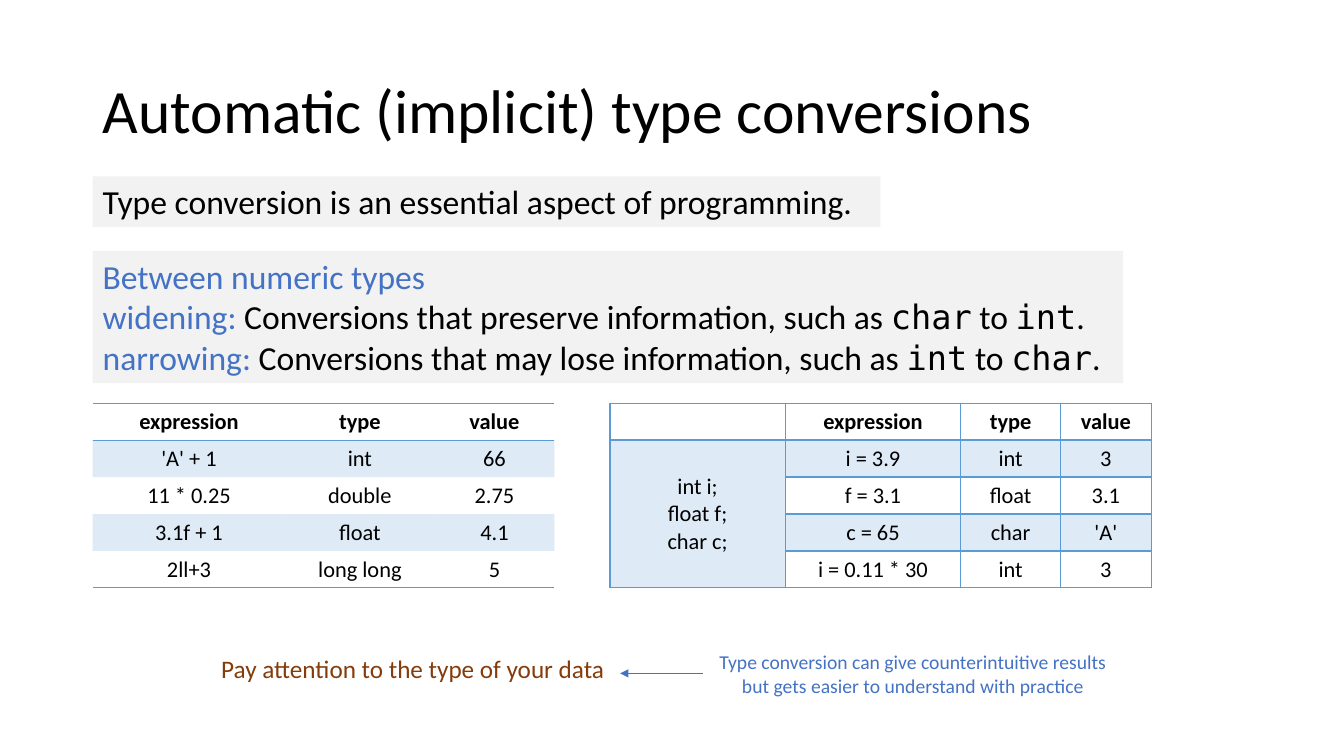
from lxml import etree
from pptx import Presentation
from pptx.dml.color import RGBColor
from pptx.enum.shapes import MSO_CONNECTOR, MSO_SHAPE
from pptx.enum.text import MSO_ANCHOR, PP_ALIGN
from pptx.oxml.ns import qn
from pptx.util import Inches, Pt

LEFT, CENTER = PP_ALIGN.LEFT, PP_ALIGN.CENTER
TOP, MIDDLE = MSO_ANCHOR.TOP, MSO_ANCHOR.MIDDLE
RECTANGLE, STRAIGHT = MSO_SHAPE.RECTANGLE, MSO_CONNECTOR.STRAIGHT

BLACK = RGBColor(0x00, 0x00, 0x00)
BLUE = RGBColor(0x44, 0x72, 0xC4)
TABLE_BLUE = RGBColor(0x5B, 0x9B, 0xD5)
BROWN = RGBColor(0x84, 0x3C, 0x0B)
GRAY = RGBColor(0xE7, 0xE6, 0xE6)

FONT, CODE_FONT = "Calibri", "DejaVu Sans Mono"
NO_STYLE = "{2D5ABB26-0587-4C30-8999-92F81FD0307C}"
MARGIN = 6.9  # left edge of the content, percent of the width
TABLE_TOP, ROW_HEIGHT = 53.33, 4.89


def fill_translucent(fill, color, percent):
    fill.solid()
    fill.fore_color.rgb = color
    rgb_element = fill._xPr.find(".//" + qn("a:srgbClr"))
    etree.SubElement(rgb_element, qn("a:alpha"), val=str(percent * 1000))


def set_borders(cell, widths):
    """Draw the given sides; widths maps L, R, T, B to points, 0 for none."""
    properties = cell._tc.get_or_add_tcPr()
    for index, side in enumerate("LRTB"):
        width = widths.get(side, 0)
        line = etree.Element(qn("a:ln" + side), w=str(Pt(width)))
        if width:
            solid = etree.SubElement(line, qn("a:solidFill"))
            etree.SubElement(solid, qn("a:srgbClr"), val=str(TABLE_BLUE))
        else:
            etree.SubElement(line, qn("a:noFill"))
        properties.insert(index, line)


def ruled_borders(row, last_row):
    return {"T": int(row <= 1), "B": int(row in (0, last_row))}


def grid_borders(row, last_row):
    return {"L": 1, "R": 1, "T": 2 if row == 1 else 1, "B": 2 if row == 0 else 1}


class SlideBuilder:
    """Adds elements to one slide; lengths are percent of the slide's size."""

    def __init__(self, presentation):
        self.width = presentation.slide_width
        self.height = presentation.slide_height
        self.slide = presentation.slides.add_slide(presentation.slide_layouts[5])
        self.shapes = self.slide.shapes

    def x(self, share):
        return round(self.width * share / 100)

    def y(self, share):
        return round(self.height * share / 100)

    def box(self, left, top, width, height):
        return self.x(left), self.y(top), self.x(width), self.y(height)

    def set_text(self, frame, lines, size, color=BLACK, align=LEFT, bold=False):
        """Fill a frame; a line is a text or a list of (text, color, font) runs."""
        frame.word_wrap = True
        for index, line in enumerate(lines):
            paragraph = frame.add_paragraph() if index else frame.paragraphs[0]
            paragraph.alignment = align
            paragraph.font.size = Pt(size)
            paragraph.font.bold = bold
            if isinstance(line, str):
                paragraph.font.name = FONT
                paragraph.font.color.rgb = color
                paragraph.text = line
                continue
            for text, run_color, font_name in line:
                run = paragraph.add_run()
                run.text = text
                run.font.name = font_name
                run.font.color.rgb = run_color

    def title(self, text, box):
        title = self.shapes.title
        title.left, title.top, title.width, title.height = self.box(*box)
        title.text_frame.vertical_anchor = MIDDLE
        self.set_text(title.text_frame, [text], 44)
        title.text_frame.paragraphs[0].line_spacing = 0.9

    def panel(self, lines, box):
        panel = self.shapes.add_shape(RECTANGLE, *self.box(*box))
        panel.shadow.inherit = False
        panel.line.fill.background()
        fill_translucent(panel.fill, GRAY, 50)
        panel.text_frame.vertical_anchor = TOP
        self.set_text(panel.text_frame, lines, 24)

    def note(self, lines, box, size, color, align=LEFT):
        note = self.shapes.add_textbox(*self.box(*box))
        self.set_text(note.text_frame, lines, size, color, align)

    def arrow(self, start, end, level):
        y = self.y(level)
        arrow = self.shapes.add_connector(STRAIGHT, self.x(start), y, self.x(end), y)
        arrow.line.color.rgb = BLUE
        arrow.line.width = Pt(0.5)
        etree.SubElement(arrow.get_or_add_ln(), qn("a:tailEnd"), type="triangle")
        etree.SubElement(arrow._element.spPr, qn("a:effectLst"))

    def table(self, left, columns, rows, borders):
        """Add a table; borders gives the border widths for a row."""
        frame = self.shapes.add_table(
            len(rows), len(columns),
            *self.box(left, TABLE_TOP, sum(columns), ROW_HEIGHT * len(rows)))
        table = frame.table
        table.first_row = table.horz_banding = False
        table._tbl.tblPr.find(qn("a:tableStyleId")).text = NO_STYLE
        for column, width in zip(table.columns, columns):
            column.width = self.x(width)
        for row_index, row in enumerate(rows):
            table.rows[row_index].height = self.y(ROW_HEIGHT)
            for column_index, text in enumerate(row):
                cell = table.cell(row_index, column_index)
                cell.margin_top = cell.margin_bottom = 0
                cell.vertical_anchor = MIDDLE
                self.set_text(cell.text_frame, text.split("\n"), 16,
                              align=CENTER, bold=row_index == 0)
                if row_index % 2:
                    fill_translucent(cell.fill, TABLE_BLUE, 20)
                else:
                    cell.fill.background()
                set_borders(cell, borders(row_index, len(rows) - 1))
        return table


def conversion_line(kind, effect, source, target):
    return [(kind + ": ", BLUE, FONT),
            (f"Conversions that {effect} information, such as ", BLACK, FONT),
            (source, BLACK, CODE_FONT), (" to ", BLACK, FONT),
            (target, BLACK, CODE_FONT), (".", BLACK, FONT)]


def main():
    presentation = Presentation()
    presentation.slide_width = Inches(13.33)
    presentation.slide_height = Inches(7.5)
    builder = SlideBuilder(presentation)

    builder.title("Automatic (implicit) type conversions", (MARGIN, 5.33, 86.27, 19.33))
    builder.panel(["Type conversion is an essential aspect of programming."],
                  (MARGIN, 23.33, 58.6, 6.67))
    builder.panel([[("Between numeric types", BLUE, FONT)],
                   conversion_line("widening", "preserve", "char", "int"),
                   conversion_line("narrowing", "may lose", "int", "char")],
                  (MARGIN, 33.2, 76.67, 17.47))

    header = ["expression", "type", "value"]
    builder.table(MARGIN, [14.33, 11.1, 8.93], [
        header,
        ["'A' + 1", "int", "66"],
        ["11 * 0.25", "double", "2.75"],
        ["3.1f + 1", "float", "4.1"],
        ["2ll+3", "long long", "5"],
    ], ruled_borders)

    assignments = builder.table(45.38, [13.05, 13.05, 7.43, 6.75], [
        ["", *header],
        ["int i;\nfloat f;\nchar c;", "i = 3.9", "int", "3"],
        ["", "f = 3.1", "float", "3.1"],
        ["", "c = 65", "char", "'A'"],
        ["", "i = 0.11 * 30", "int", "3"],
    ], grid_borders)
    assignments.cell(1, 0).merge(assignments.cell(4, 0))

    builder.note(["Pay attention to the type of your data"],
                 (15.72, 85.73, 32.06, 5.33), 18, BROWN)
    builder.note(["Type conversion can give counterintuitive results",
                  "but gets easier to understand with practice"],
                 (52.29, 85.33, 31.28, 7.6), 14, BLUE, CENTER)
    builder.arrow(52.29, 46.14, 89.07)

    presentation.save("out.pptx")


if __name__ == "__main__":
    main()
